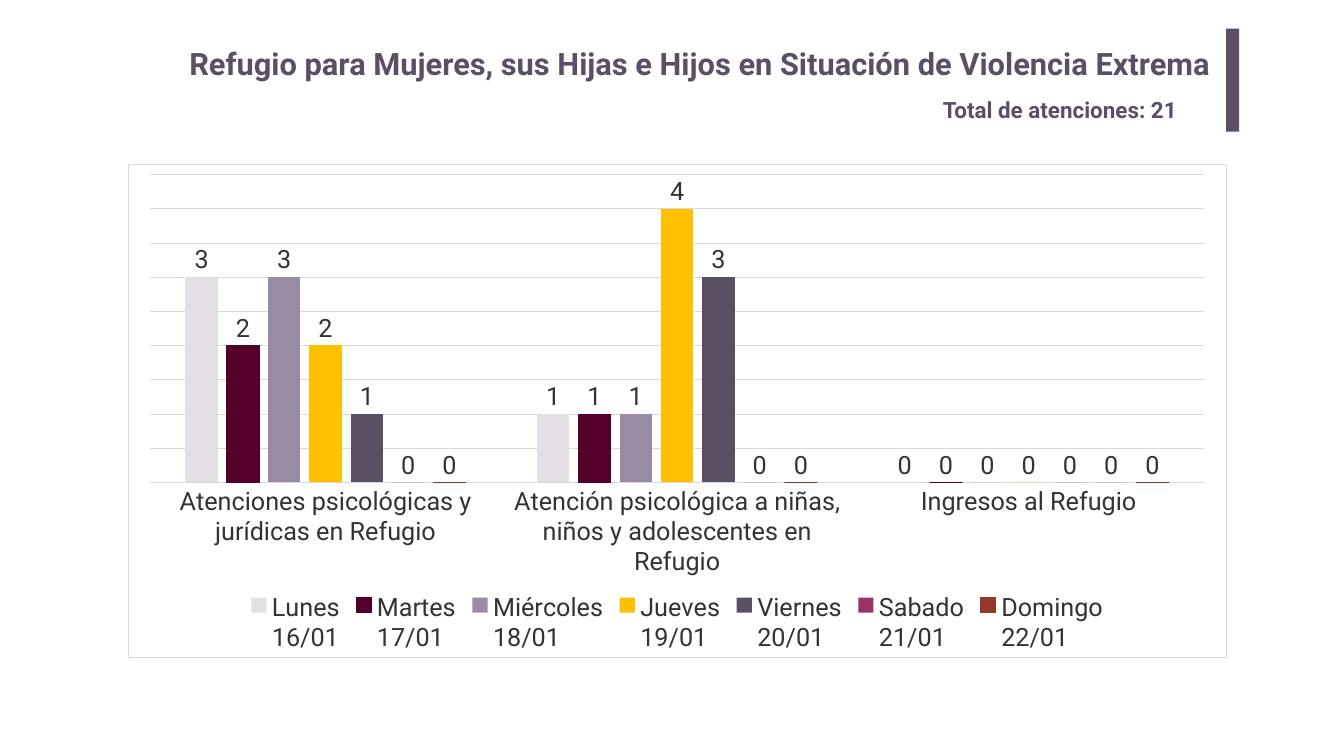
from lxml import etree
from pptx import Presentation
from pptx.chart.data import CategoryChartData
from pptx.dml.color import RGBColor
from pptx.enum.chart import XL_CHART_TYPE, XL_LABEL_POSITION, XL_LEGEND_POSITION, XL_TICK_LABEL_POSITION, XL_TICK_MARK
from pptx.enum.shapes import MSO_SHAPE
from pptx.oxml import parse_xml
from pptx.oxml.ns import nsdecls, qn
from pptx.util import Inches, Pt

WIDTH, HEIGHT = 26.67, 15
FONT = "Roboto"
PURPLE, GREY, RULE = "5B4F63", "333333", "D9D9D9"

CATEGORIES = [
    "Atenciones psicológicas y jurídicas en Refugio",
    "Atención psicológica a niñas, niños y adolescentes en Refugio",
    "Ingresos al Refugio",
]
FIRST_DATE = 16
# day, attentions per category, colour, outlined
DAYS = [
    ("Lunes", (3, 1, 0), "E3DFE5", False),
    ("Martes", (2, 1, 0), "54002A", True),
    ("Miércoles", (3, 1, 0), "998BA3", False),
    ("Jueves", (2, 4, 0), "FFC000", False),
    ("Viernes", (1, 3, 0), PURPLE, False),
    ("Sabado", (0, 0, 0), "993366", False),
    ("Domingo", (0, 0, 0), "95372B", True),
]


def paint(color_format, color):
    color_format.rgb = RGBColor.from_string(color)


def fill(part, color):
    part.fill.solid()
    paint(part.fill.fore_color, color)


def outline(line, color):
    paint(line.color, color)
    line.width = Pt(0.75)


def style_font(font, size, color, bold=False):
    font.name, font.size, font.bold = FONT, Pt(size), bold
    paint(font.color, color)


def box(x, y, width, height):
    """Turn shares of the slide into a left, top, width, height tuple."""
    return (Inches(x * WIDTH), Inches(y * HEIGHT), Inches(width * WIDTH), Inches(height * HEIGHT))


def add_heading(slide, text, size, place):
    frame = slide.shapes.add_textbox(*place).text_frame
    frame.word_wrap = True
    heading = frame.paragraphs[0]
    heading.text = text
    style_font(heading.font, size, PURPLE, bold=True)


def add_accent_bar(slide, place):
    bar = slide.shapes.add_shape(MSO_SHAPE.RECTANGLE, *place)
    bar.shadow.inherit = False
    fill(bar, PURPLE)
    bar.line.fill.background()


def set_plot_layout(chart, **shares):
    """Fix the inner plot area, in shares of the chart's size."""
    plot_area = chart.element.find(".//" + qn("c:plotArea"))
    for old in plot_area.findall(qn("c:layout")):
        plot_area.remove(old)
    layout = etree.Element(qn("c:layout"))
    manual = etree.SubElement(layout, qn("c:manualLayout"))
    settings = {"layoutTarget": "inner", "xMode": "edge", "yMode": "edge", **shares}
    for tag, value in settings.items():
        etree.SubElement(manual, qn(f"c:{tag}"), val=str(value))
    plot_area.insert(0, layout)


def frame_chart(chart):
    """Give the chart area a white fill and a thin border."""
    chart.element.find(qn("c:chart")).addnext(parse_xml(
        f'<c:spPr {nsdecls("c", "a")}>'
        '<a:solidFill><a:srgbClr val="FFFFFF"/></a:solidFill>'
        f'<a:ln w="{Pt(0.75)}"><a:solidFill><a:srgbClr val="{RULE}"/></a:solidFill></a:ln>'
        '</c:spPr>'))


def style_axes(chart):
    days = chart.category_axis
    days.major_tick_mark = days.minor_tick_mark = XL_TICK_MARK.NONE
    days.tick_label_position = XL_TICK_LABEL_POSITION.LOW
    style_font(days.tick_labels.font, 36, GREY)
    outline(days.format.line, RULE)

    count = chart.value_axis
    count.visible = False
    count.minimum_scale, count.maximum_scale, count.major_unit = 0, 4.5, 0.5
    count.has_major_gridlines = True
    outline(count.major_gridlines.format.line, RULE)


def style_series(series, color, outlined):
    series.smooth = False if hasattr(series, "smooth") else None
    series.invert_if_negative = False
    fill(series.format, color)
    if outlined:
        outline(series.format.line, color)
    else:
        series.format.line.fill.background()
    labels = series.data_labels
    labels.show_value = True
    labels.position = XL_LABEL_POSITION.OUTSIDE_END
    style_font(labels.font, 36, GREY)


def add_attention_chart(slide, place):
    data = CategoryChartData(number_format="General")
    data.categories = CATEGORIES
    for date, (day, attentions, *_) in enumerate(DAYS, FIRST_DATE):
        data.add_series(f"{day}\n{date}/01", attentions)
    chart = slide.shapes.add_chart(XL_CHART_TYPE.COLUMN_CLUSTERED, *place, data).chart
    chart.has_title = False
    style_font(chart.font, 10, "000000")

    plot = chart.plots[0]
    plot.gap_width, plot.overlap, plot.vary_by_categories = 219, -27, False
    for series, (_, _, color, outlined) in zip(plot.series, DAYS):
        style_series(series, color, outlined)

    chart.has_legend = True
    chart.legend.position = XL_LEGEND_POSITION.BOTTOM
    chart.legend.include_in_layout = False
    style_font(chart.legend.font, 36, GREY)
    style_axes(chart)
    set_plot_layout(chart, x=0.02, y=0.02, w=0.96, h=0.625)
    frame_chart(chart)


def main():
    deck = Presentation()
    deck.slide_width, deck.slide_height = Inches(WIDTH), Inches(HEIGHT)
    slide = deck.slides.add_slide(deck.slide_layouts[6])
    add_accent_bar(slide, box(0.9123, 0.038, 0.0097, 0.136))
    add_heading(slide, "Total de atenciones: 21", 32, box(0.6978, 0.1233, 0.2006, 0.0427))
    add_heading(slide, "Refugio para Mujeres, sus Hijas e Hijos en Situación de Violencia Extrema",
                44, box(0.1372, 0.056, 0.7773, 0.056))
    add_attention_chart(slide, box(0.0949, 0.2173, 0.8178, 0.6527))
    deck.save("out.pptx")


if __name__ == "__main__":
    main()
